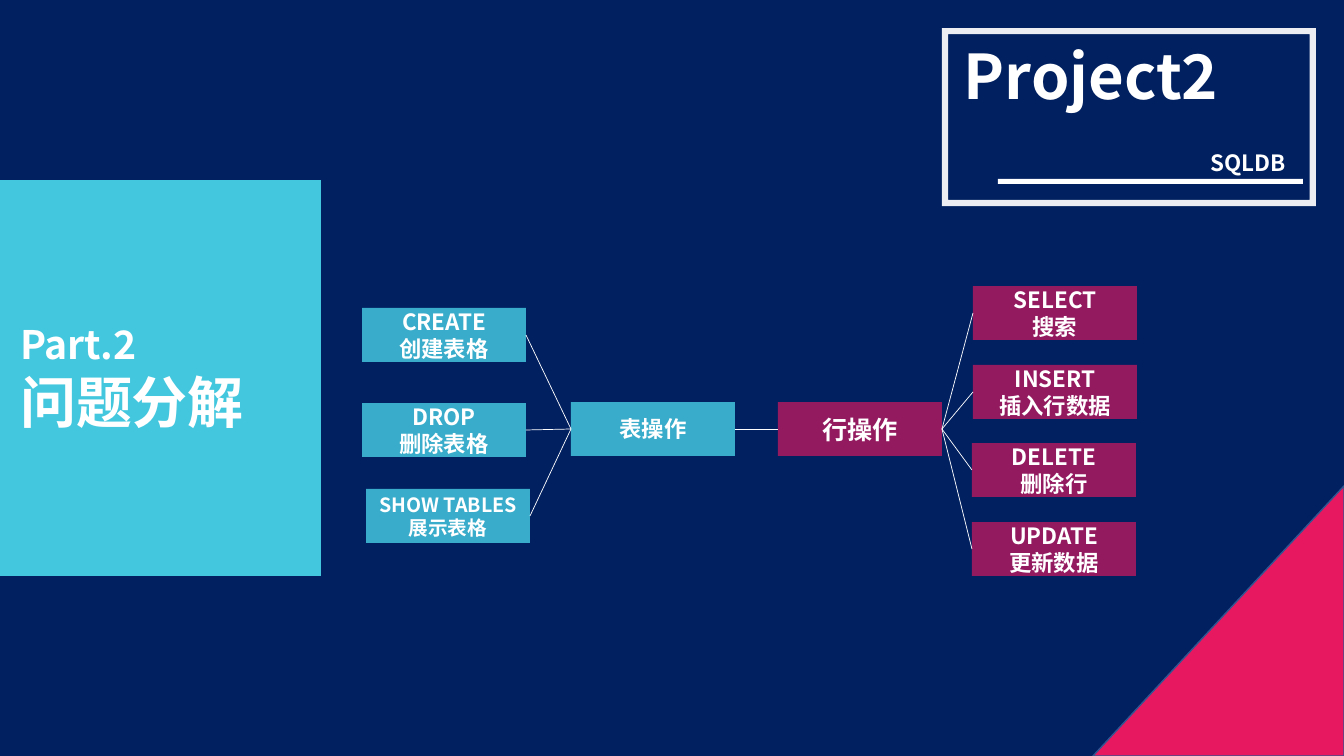
import lxml.etree
import pptx
import pptx.util
import pptx.dml.color
import pptx.enum.shapes
import pptx.enum.text
import pptx.oxml.ns

PIXEL = 914400 / 100.8
FONT = "Noto Sans CJK SC"
NAVY = pptx.dml.color.RGBColor(0x00, 0x20, 0x60)
WHITE = pptx.dml.color.RGBColor(0xFF, 0xFF, 0xFF)
CYAN = pptx.dml.color.RGBColor(0x50, 0xE8, 0xF8)
PINK = pptx.dml.color.RGBColor(0xE8, 0x18, 0x60)
EDGE = pptx.dml.color.RGBColor(0x32, 0x54, 0x91)
PRESET = pptx.enum.shapes.MSO_SHAPE
ALIGN = pptx.enum.text.PP_ALIGN
ANCHOR = pptx.enum.text.MSO_ANCHOR
AUTO_SIZE = pptx.enum.text.MSO_AUTO_SIZE
LEFT_SITE, RIGHT_SITE = 1, 3
NODE_SIZE = (164, 54)

TABLE_NODES = [
    (362, 308, ["CREATE", "创建表格"], 16),
    (362, 403, ["DROP", "删除表格"], 16),
    (366, 489, ["SHOW TABLES展示表格"], 14),
]
ROW_NODES = [
    (973, 286, ["SELECT", "搜索"], 16),
    (973, 365, ["INSERT", "插入行数据"], 16),
    (972, 443, ["DELETE", "删除行"], 16),
    (972, 522, ["UPDATE", "更新数据"], 16),
]


def px(length):
    return pptx.util.Emu(round(length * PIXEL))


def set_attributes(target, values):
    for name, value in values.items():
        setattr(target, name, value)


def add_xml(parent, tag, **attributes):
    lxml.etree.SubElement(parent, pptx.oxml.ns.qn(tag), attributes)


def write_lines(frame, lines, sizes, align=ALIGN.LEFT):
    for index, (line, size) in enumerate(zip(lines, sizes)):
        para = frame.add_paragraph() if index else frame.paragraphs[0]
        para.alignment = align
        span = para.add_run()
        span.text = line
        set_attributes(span.font, {"name": FONT, "size": pptx.util.Pt(size), "bold": True})
        span.font.color.rgb = WHITE
        add_xml(span.font._element, "a:ea", typeface=FONT)


def add_block(page, preset, bounds, color, opacity=100):
    block = page.shapes.add_shape(preset, *map(px, bounds))
    block.shadow.inherit = False
    block.fill.solid()
    block.fill.fore_color.rgb = color
    block.line.fill.background()
    if opacity < 100:
        color_xml = block.element.spPr.find(".//" + pptx.oxml.ns.qn("a:srgbClr"))
        add_xml(color_xml, "a:alpha", val=str(opacity * 1000))
    return block


def add_node(page, left, top, lines, size, color, opacity):
    node = add_block(page, PRESET.RECTANGLE, (left, top, *NODE_SIZE), color, opacity)
    set_attributes(node.text_frame, {"word_wrap": True, "vertical_anchor": ANCHOR.MIDDLE})
    write_lines(node.text_frame, lines, [size] * len(lines), ALIGN.CENTER)
    return node


def add_label(page, bounds, line, size):
    box = page.shapes.add_textbox(*map(px, bounds))
    set_attributes(box.text_frame, {"word_wrap": False, "auto_size": AUTO_SIZE.SHAPE_TO_FIT_TEXT})
    write_lines(box.text_frame, [line], [size])


def add_link(page, start, start_site, end, end_site):
    link = page.shapes.add_connector(pptx.enum.shapes.MSO_CONNECTOR.STRAIGHT, 0, 0, 0, 0)
    link.begin_connect(start, start_site)
    link.end_connect(end, end_site)
    link.line.color.rgb = WHITE
    link.line.width = pptx.util.Pt(0.5)
    add_xml(link.element.spPr, "a:effectLst")


def add_header(page):
    border = add_block(page, PRESET.FRAME, (942, 28, 374, 178), WHITE, 92)
    border.adjustments[0] = 0.035
    add_block(page, PRESET.RECTANGLE, (998, 179, 305, 5), WHITE)
    add_label(page, (954, 33, 279, 85), "Project2", 44)
    add_label(page, (1201, 144, 103, 37), "SQLDB", 16)


def add_title_panel(page):
    panel = add_block(page, PRESET.RECTANGLE, (0, 180, 321, 396), CYAN, 84)
    title = page.shapes.title
    bounds = map(px, (10, 315, 247, 126))
    set_attributes(title, dict(zip(("left", "top", "width", "height"), bounds)))
    set_attributes(title.text_frame, {
        "word_wrap": False,
        "auto_size": AUTO_SIZE.SHAPE_TO_FIT_TEXT,
        "vertical_anchor": ANCHOR.TOP,
    })
    write_lines(title.text_frame, ["Part.2", "问题分解"], [28, 40])
    panel.element.addnext(title.element)


def add_corner(page):
    corner = add_block(page, PRESET.RIGHT_TRIANGLE, (1093, 486, 251, 270), PINK)
    corner.element.spPr.get_or_add_xfrm().set("flipH", "1")
    corner.line.color.rgb = EDGE
    corner.line.width = pptx.util.Pt(1)


def add_diagram(page):
    table_hub = add_node(page, 571, 402, ["表操作"], 16, CYAN, 70)
    table_nodes = [add_node(page, *node, CYAN, 70) for node in TABLE_NODES]
    row_hub = add_node(page, 778, 402, ["行操作"], 18, PINK, 64)
    row_nodes = [add_node(page, *node, PINK, 64) for node in ROW_NODES]
    for node in table_nodes:
        add_link(page, node, RIGHT_SITE, table_hub, LEFT_SITE)
    for node in row_nodes:
        add_link(page, node, LEFT_SITE, row_hub, RIGHT_SITE)
    add_link(page, table_hub, RIGHT_SITE, row_hub, LEFT_SITE)


def main():
    deck = pptx.Presentation()
    set_attributes(deck, {"slide_width": px(1344), "slide_height": px(756)})
    page = deck.slides.add_slide(deck.slide_layouts.get_by_name("Title Only"))
    page.background.fill.solid()
    page.background.fill.fore_color.rgb = NAVY
    add_header(page)
    add_title_panel(page)
    add_corner(page)
    add_diagram(page)
    deck.save("out.pptx")


main()
